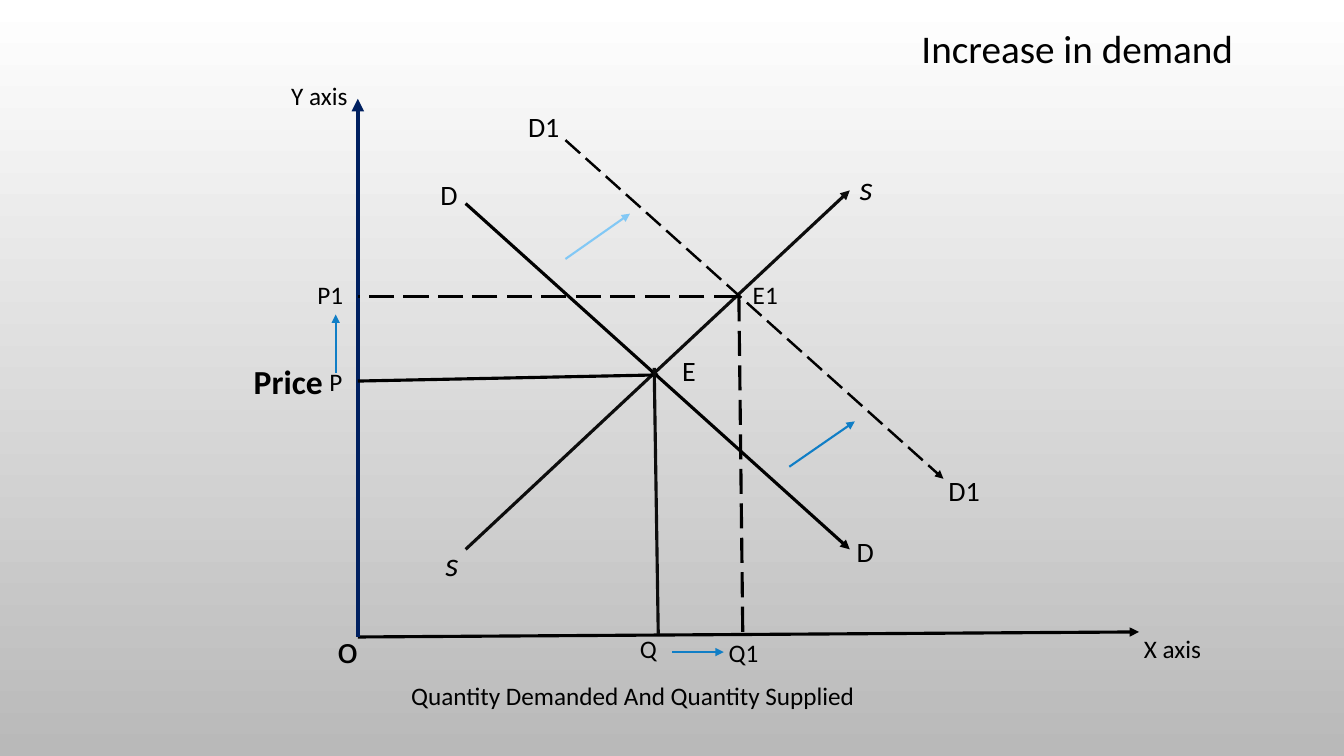
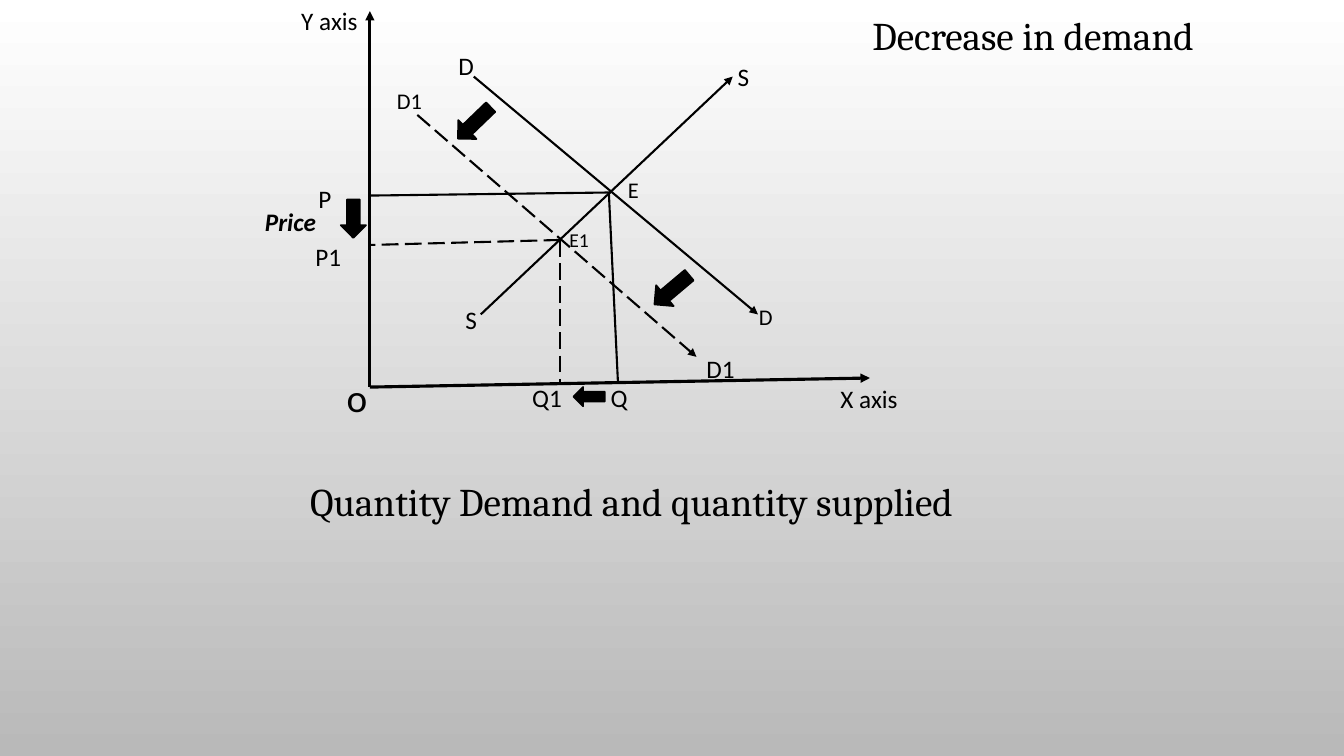
from lxml.etree import SubElement
from pptx import Presentation
from pptx.dml.color import RGBColor
from pptx.enum.dml import MSO_LINE
from pptx.enum.shapes import MSO_CONNECTOR, MSO_SHAPE
from pptx.enum.text import MSO_ANCHOR, MSO_AUTO_SIZE as AutoSize, PP_ALIGN
from pptx.oxml.ns import qn
from pptx.util import Pt

COLORS = {
    "ink": "000000",
    "soft_ink": "0D0D0D",
    "navy": "002060",
    "blue": "107EC6",
    "light_blue": "82C8F5",
    "top": "FFFFFF",
    "bottom": "B9B9B9",
}
BODY_FONT = "Calibri"
SERIF_FONT = "Cambria"
HEADING_SIZE = 28


def rgb(name):
    return RGBColor.from_string(COLORS[name])


class DiagramDeck:
    def __init__(self):
        self.deck = Presentation()
        self.deck.slide_width = Pt(960)
        self.deck.slide_height = Pt(540)
        self.page = None
        self.paint_background()

    def paint_background(self):
        fill = self.deck.slide_master.background.fill
        fill.gradient()
        fill.gradient_angle = 270
        for stop, name in zip(fill.gradient_stops, ("top", "bottom")):
            stop.color.rgb = rgb(name)

    def add_page(self):
        self.page = self.deck.slides.add_slide(self.deck.slide_layouts[5])

    def place(self, box, left, top, width, size):
        box.left, box.top = Pt(left), Pt(top)
        box.width, box.height = Pt(width), Pt(round(size * 1.22 + 7.2, 1))

    def fill_text(self, box, text, size, font=BODY_FONT, align=PP_ALIGN.LEFT,
                  bold=False, italic=False):
        frame = box.text_frame
        frame.word_wrap = True
        frame.auto_size = AutoSize.SHAPE_TO_FIT_TEXT
        frame.vertical_anchor = MSO_ANCHOR.TOP
        para = frame.paragraphs[0]
        para.alignment = align
        span = para.add_run()
        span.text = text
        span.font.name = font
        span.font.size = Pt(size)
        span.font.bold = bold
        span.font.italic = italic
        span.font.color.rgb = rgb("ink")

    def title(self, text, left, top, width, font):
        box = self.page.shapes.title
        self.place(box, left, top, width, HEADING_SIZE)
        self.fill_text(box, text, HEADING_SIZE, font, PP_ALIGN.CENTER)

    def label(self, text, left, top, width, size=18, **style):
        box = self.page.shapes.add_textbox(0, 0, 0, 0)
        self.place(box, left, top, width, size)
        self.fill_text(box, text, size, **style)

    def labels(self, rows):
        for row in rows:
            self.label(*row)

    def line(self, start, end, weight, color="ink", dashed=False, arrow=False):
        line = self.page.shapes.add_connector(
            MSO_CONNECTOR.STRAIGHT, *(Pt(value) for value in start + end))
        line.line.width = Pt(weight)
        line.line.color.rgb = rgb(color)
        if dashed:
            line.line.dash_style = MSO_LINE.LONG_DASH
        properties = line._element.spPr
        if arrow:
            outline = properties.find(qn("a:ln"))
            SubElement(outline, qn("a:tailEnd")).set("type", "triangle")
        SubElement(properties, qn("a:effectLst"))

    def block_arrow(self, center_x, center_y, width, length, rotation):
        shape = self.page.shapes.add_shape(
            MSO_SHAPE.DOWN_ARROW, Pt(center_x - width / 2),
            Pt(center_y - length / 2), Pt(width), Pt(length))
        shape.rotation = rotation
        shape.shadow.inherit = False
        shape.fill.solid()
        shape.fill.fore_color.rgb = rgb("ink")
        shape.line.color.rgb = rgb("ink")
        shape.line.width = Pt(1.25)


def build_increase(deck):
    deck.add_page()
    origin, new_balance = (255.6, 455), (527.8, 211.7)
    deck.line(origin, (813.6, 451.4), 2.25, arrow=True)
    deck.line(origin, (255.6, 70.6), 3, "navy", arrow=True)
    deck.line((332.6, 392.4), (607, 136), 2.25, "soft_ink", arrow=True)
    deck.line((332.6, 145.4), (607, 392.4), 2.25, arrow=True)
    deck.line((255.6, 272.2), (470.2, 267.8), 2.25)
    deck.line((470.2, 452.9), (467.3, 262.8), 2.25, "soft_ink")
    deck.line((403.9, 100.1), (673.9, 342), 1.75, dashed=True, arrow=True)
    for foot in ((255.6, 211.7), (530.6, 455)):
        deck.line(new_balance, foot, 2.25, dashed=True)

    for start, end, color in (
        ((403.9, 185), (450, 152.6), "light_blue"),
        ((239.8, 266.4), (239.8, 224.6), "blue"),
        ((480.2, 465.8), (517, 465.8), "blue"),
        ((563.8, 333.4), (610.6, 301), "blue"),
    ):
        deck.line(start, end, 1.5, color, arrow=True)

    deck.label("s", 311, 384.5, 21.6, 24, italic=True)
    deck.label("s", 607, 116, 29.5, 24, italic=True)
    deck.label("Price", 174.2, 254.2, 103.7, 24, bold=True)
    deck.labels([
        ("D", 307.4, 123.1, 29.5, 20),
        ("D", 604.8, 378, 30.2, 20),
        ("D1", 670.3, 334.8, 38.2, 20),
        ("D1", 370.1, 74.9, 38.2, 20),
        ("E", 480.2, 249.1, 53.3, 20),
        ("E1", 530.6, 195.8, 49.7),
        ("P", 228.2, 257.8, 28.8),
        ("P1", 219.6, 195.8, 46.1),
        ("Q", 450, 448.6, 38.9),
        ("Q1", 513.4, 451.4, 38.9),
        ("Y axis", 200.9, 54, 77.8),
        ("X axis", 810, 448.6, 77.8),
        ("Quantity Demanded And Quantity Supplied", 286.6, 482.4, 345),
        ("o", 234, 442.1, 38.9, 28),
    ])
    deck.title("Increase in demand", 591, 13.7, 357, BODY_FONT)


def build_decrease(deck):
    deck.add_page()
    origin, new_balance = (264.2, 276.5), (400.3, 171.4)
    deck.line(origin, (264.2, 7.9), 2.25, arrow=True)
    deck.line(origin, (621.4, 270), 2.25, arrow=True)
    deck.line((343.4, 224.6), (523.4, 54.7), 1.5, arrow=True)
    deck.line((338.4, 54.7), (541.4, 224.6), 1.5, arrow=True)
    deck.line((436.3, 137.5), (264.2, 139.7), 1.5)
    deck.line((434.9, 137.5), (441.4, 272.9), 1.5)
    deck.line((298.1, 82.1), (497.5, 254.9), 1.5, dashed=True, arrow=True)
    for foot in ((264.2, 175), (400.3, 272.9)):
        deck.line(new_balance, foot, 1.5, dashed=True)

    for arrow in (
        (338.8, 87.8, 18.7, 32.4, 46.1),
        (479.9, 207, 19.4, 32.4, 49.9),
        (252.4, 156.2, 18, 27.4, 0),
        (420.8, 283.3, 13.7, 22.3, 90),
    ):
        deck.block_arrow(*arrow)

    deck.label("Price", 182.2, 144, 58, bold=True, italic=True)
    deck.labels([
        ("S", 519.8, 40.3, 25),
        ("S", 325.4, 213.8, 30.2),
        ("D", 320.4, 32.4, 27),
        ("D", 535, 213.1, 27, 16),
        ("D1", 276.5, 59, 41, 16),
        ("D1", 497.5, 249.1, 39.6),
        ("E", 441.4, 122.4, 27, 16),
        ("E1", 399.6, 159.1, 50.4, 14),
        ("P", 220.3, 127.4, 27),
        ("P1", 218.2, 168.5, 38.9),
        ("Q", 429.1, 269.3, 27),
        ("Q1", 373, 269.3, 45.4),
        ("Y axis", 208.1, 0, 66.2),
        ("X axis", 593.3, 270, 62.6),
        ("o", 240.5, 262.8, 30, 28),
    ])
    deck.label("Quantity Demand and quantity supplied", 163.3, 337.7, 575.3,
               HEADING_SIZE, font=SERIF_FONT, align=PP_ALIGN.CENTER)
    deck.title("Decrease in demand", 590.3, 4.3, 295.2, SERIF_FONT)


def main():
    deck = DiagramDeck()
    build_increase(deck)
    build_decrease(deck)
    deck.deck.save("out.pptx")


if __name__ == "__main__":
    main()
